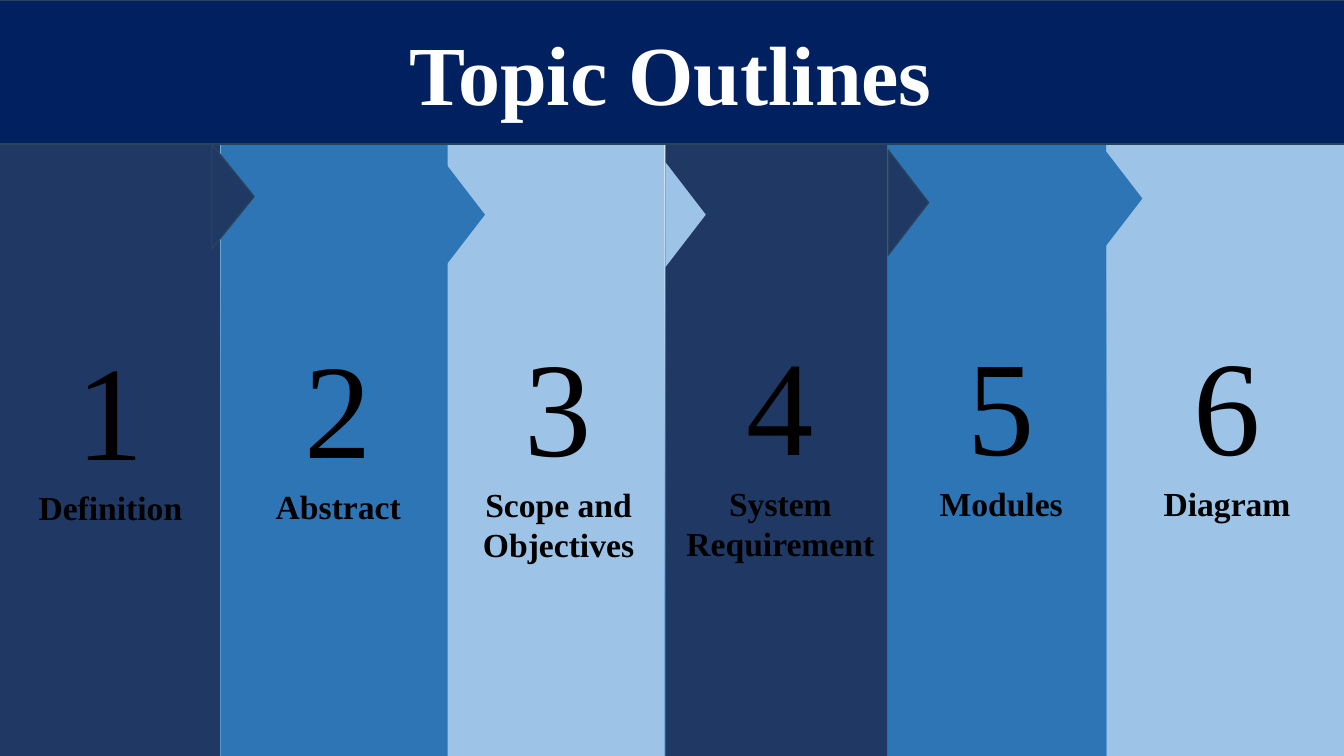
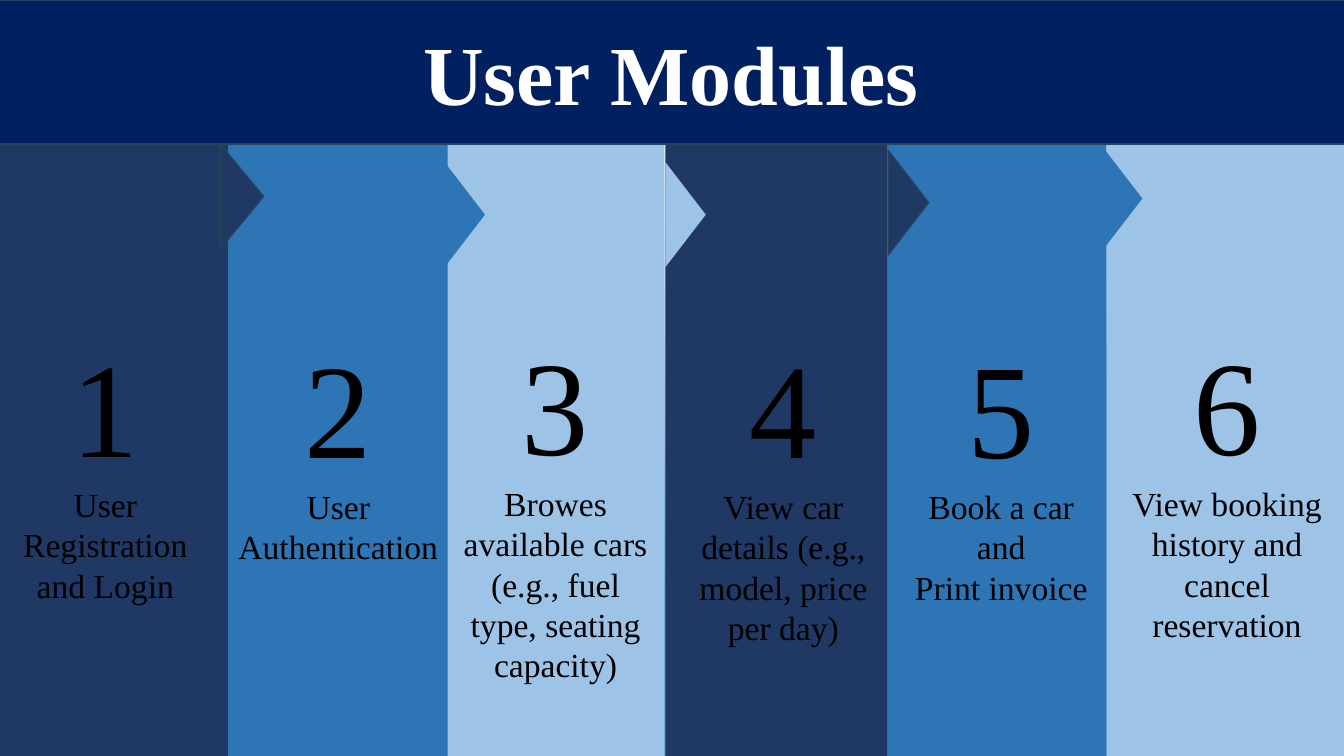
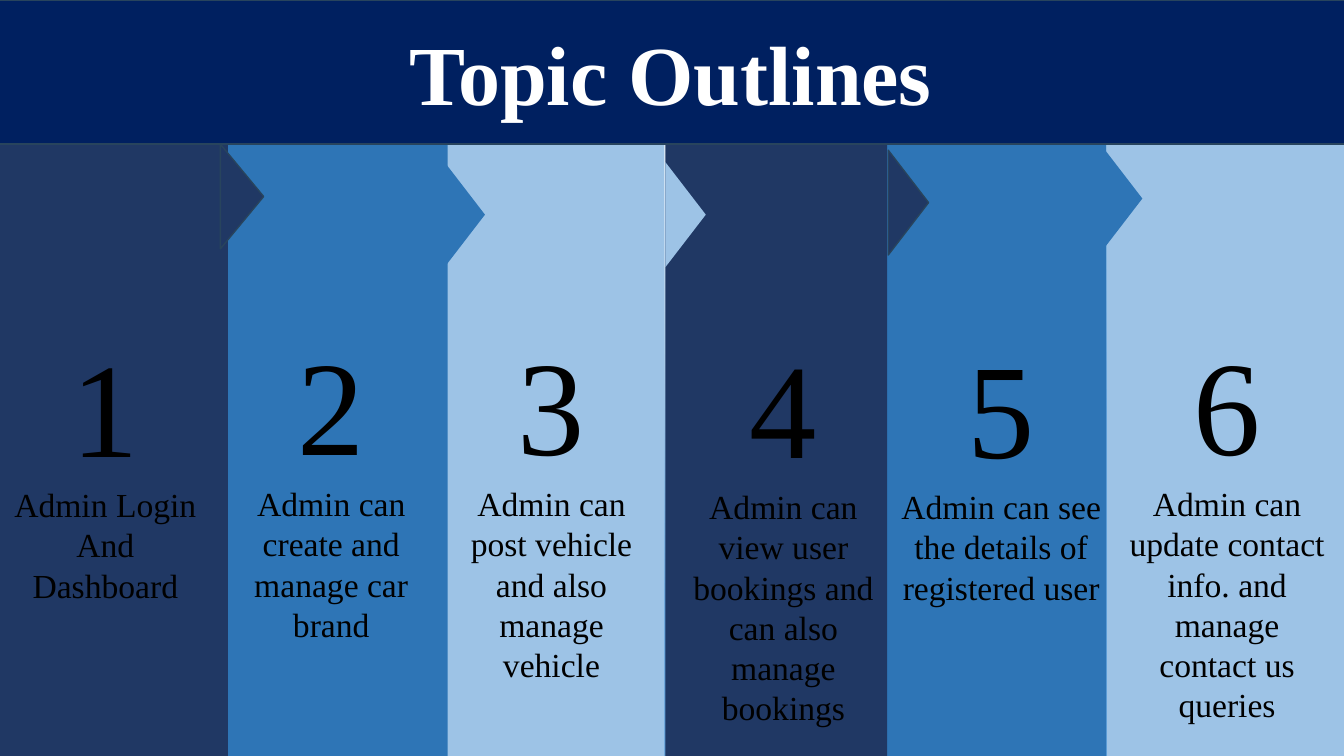
from dataclasses import dataclass

from pptx import Presentation
from pptx.dml.color import RGBColor
from pptx.enum.shapes import MSO_SHAPE
from pptx.enum.text import MSO_ANCHOR, MSO_AUTO_SIZE, PP_ALIGN
from pptx.oxml import parse_xml
from pptx.oxml.ns import nsdecls, qn
from pptx.util import Inches, Pt


@dataclass(frozen=True)
class Theme:
    """Colours, font and type sizes used by every slide."""
    font: str = "Times New Roman"
    band: str = "002060"
    navy: str = "203864"
    blue: str = "2E75B6"
    sky: str = "9DC3E6"
    outline: str = "28445D"
    white: str = "FFFFFF"
    black: str = "000000"
    glow: str = "5B9BD5"
    title_size: int = 60
    number_size: int = 96
    caption_size: int = 24


@dataclass(frozen=True)
class Column:
    """One coloured strip and the arrow tip on its right edge."""
    left: float
    width: float
    text_width: float
    color: str
    tip_reach: float = 0
    tip_middle: float = 0
    tip_depth: float = 0.4


@dataclass(frozen=True)
class Caption:
    """Caption paragraphs, their line count and the text box offset."""
    paragraphs: tuple
    lines: int
    shift: float
    top: float = 3.14


THEME = Theme()
BAND_LEFT, BAND_WIDTH, BAND_HEIGHT = -0.03, 13.37, 1.43
COLUMN_TOP, COLUMN_HEIGHT = 1.31, 6.19
TIP_SPAN = 1.04
NUMBER_HEIGHT, LINE_HEIGHT = 1.72, 0.4

OUTLINE_FIRST = Column(-0.03, 2.21, 2.19, THEME.navy, 0.13, 1.95, 0.42)
MODULE_FIRST = Column(-0.03, 2.29, 2.27, THEME.navy, 0.14, 1.95, 0.43)
OTHER_COLUMNS = (
    Column(2.19, 2.25, 2.25, THEME.blue, 0.17, 2.13),
    Column(4.39, 2.2, 2.18, THEME.sky, 0.21, 2.13),
    Column(6.6, 2.2, 2.2, THEME.navy, 0.21, 2.01),
    Column(8.77, 2.2, 2.18, THEME.blue, 0.16, 1.97),
    Column(10.98, 2.37, 2.18, THEME.sky),
)

SLIDES = (
    ("Topic Outlines", OUTLINE_FIRST, True, (
        Caption(("Definition",), 1, 0.03, 3.17),
        Caption(("Abstract",), 1, 0.04, 3.17),
        Caption(("Scope and Objectives",), 2, 0.06, 3.15),
        Caption(("System Requirement",), 2, 0.04),
        Caption(("Modules",), 1, 0.07),
        Caption(("Diagram",), 1, 0.1),
    )),
    ("User Modules", MODULE_FIRST, False, (
        Caption(("User Registration and Login",), 3, -0.06),
        Caption(("User Authentication",), 2, 0.04, 3.17),
        Caption(("Browes available cars (e.g., fuel type, seating capacity)",), 5, 0.03),
        Caption(("View car details (e.g., model, price per day)",), 4, 0.07, 3.17),
        Caption(("Book a car and", "Print invoice"), 3, 0.07, 3.17),
        Caption(("View booking history and cancel reservation",), 4, 0.1),
    )),
    ("Topic Outlines", MODULE_FIRST, False, (
        Caption(("Admin Login", "And Dashboard"), 3, -0.06),
        Caption(("Admin can create and manage car brand",), 4, -0.03),
        Caption(("Admin can post vehicle and also manage vehicle",), 5, -0.01),
        Caption(("Admin can view user bookings and can also manage bookings",), 6, 0.07, 3.17),
        Caption(("Admin can see the details of registered user",), 4, 0.07, 3.17),
        Caption(("Admin can update contact info. and manage contact us queries",), 6, 0.1),
    )),
)


def paint_background(page):
    """Give the page a radial white to blue background."""
    page.background.fill.gradient()
    old = page.element.find(".//" + qn("a:gradFill"))
    stops = "".join(
        f'<a:gs pos="{position}"><a:srgbClr val="{color}"/></a:gs>'
        for position, color in ((0, THEME.white), (14000, THEME.white), (78000, THEME.glow))
    )
    gradient = parse_xml(
        f'<a:gradFill {nsdecls("a")} rotWithShape="1"><a:gsLst>{stops}</a:gsLst>'
        '<a:path path="circle"><a:fillToRect l="50000" t="-80000" r="50000" b="180000"/>'
        '</a:path></a:gradFill>'
    )
    old.getparent().replace(old, gradient)


def add_block(shapes, kind, bounds, color, outline=None):
    """Add a flat filled shape, outlined if a colour is given."""
    block = shapes.add_shape(kind, *(Inches(length) for length in bounds))
    block.shadow.inherit = False
    block.fill.solid()
    block.fill.fore_color.rgb = RGBColor.from_string(color)
    if outline:
        block.line.color.rgb = RGBColor.from_string(outline)
        block.line.width = Pt(1)
    else:
        block.line.fill.background()
    return block


def write(para, text, size, color=THEME.black, bold=False):
    """Write one centred line of text in the theme font."""
    para.alignment = PP_ALIGN.CENTER
    span = para.add_run()
    span.text = text
    span.font.name = THEME.font
    span.font.size = Pt(size)
    span.font.bold = bold
    span.font.color.rgb = RGBColor.from_string(color)


def add_title_band(page, title):
    """Draw the band across the top with the title in it."""
    bounds = (BAND_LEFT, 0, BAND_WIDTH, BAND_HEIGHT)
    band = add_block(page.shapes, MSO_SHAPE.RECTANGLE, bounds, THEME.band, THEME.outline)
    band.text_frame.vertical_anchor = MSO_ANCHOR.MIDDLE
    write(band.text_frame.paragraphs[0], title, THEME.title_size, THEME.white, True)


def add_tip(shapes, column):
    """Draw the arrow tip that reaches into the next column."""
    middle = column.left + column.width + column.tip_reach
    bounds = (middle - TIP_SPAN / 2, column.tip_middle - column.tip_depth / 2,
              TIP_SPAN, column.tip_depth)
    outline = THEME.outline if column.color == THEME.navy else None
    tip = add_block(shapes, MSO_SHAPE.ISOSCELES_TRIANGLE, bounds, column.color, outline)
    tip.rotation = 90


def add_column(page, column, number, caption, bold):
    """Draw one numbered column with its tip and caption."""
    shapes = page.shapes.add_group_shape().shapes
    bounds = (column.left, COLUMN_TOP, column.width, COLUMN_HEIGHT)
    add_block(shapes, MSO_SHAPE.RECTANGLE, bounds, column.color)
    if column.tip_reach:
        add_tip(shapes, column)
    box = shapes.add_textbox(
        Inches(column.left + caption.shift), Inches(caption.top), Inches(column.text_width),
        Inches(NUMBER_HEIGHT + LINE_HEIGHT * caption.lines))
    frame = box.text_frame
    frame.word_wrap = True
    frame.auto_size = MSO_AUTO_SIZE.SHAPE_TO_FIT_TEXT
    frame.vertical_anchor = MSO_ANCHOR.MIDDLE if number == 1 else MSO_ANCHOR.TOP
    write(frame.paragraphs[0], str(number), THEME.number_size)
    for text in caption.paragraphs:
        write(frame.add_paragraph(), text, THEME.caption_size, bold=bold)


def add_column_slide(deck, title, first_column, bold, captions):
    """Add a slide of six columns, each overlapping the one on its right."""
    page = deck.slides.add_slide(deck.slide_layouts[6])
    paint_background(page)
    columns = (first_column, *OTHER_COLUMNS)
    for number in range(len(columns), 0, -1):
        add_column(page, columns[number - 1], number, captions[number - 1], bold)
    add_title_band(page, title)


def main():
    """Build and save the deck."""
    deck = Presentation()
    deck.slide_width, deck.slide_height = Inches(13.33), Inches(7.5)
    for content in SLIDES:
        add_column_slide(deck, *content)
    deck.save("out.pptx")


if __name__ == "__main__":
    main()
